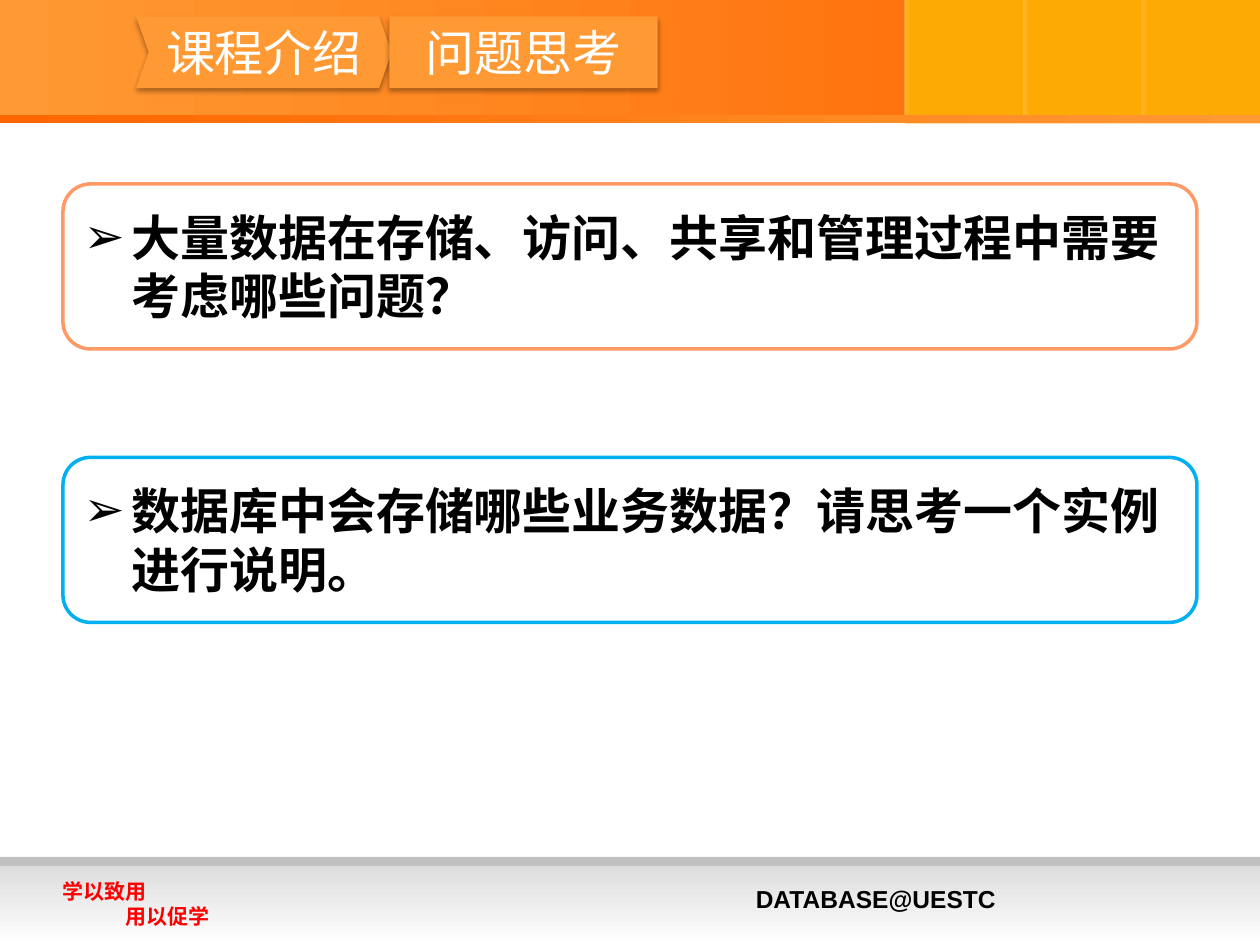
import pptx
import pptx.util
import pptx.dml.color
import pptx.enum.shapes
import pptx.enum.text
import pptx.oxml
import pptx.oxml.ns

Inches, Pt = pptx.util.Inches, pptx.util.Pt
RECTANGLE = pptx.enum.shapes.MSO_SHAPE.RECTANGLE
CHEVRON = pptx.enum.shapes.MSO_SHAPE.CHEVRON
ANCHOR = pptx.enum.text.MSO_ANCHOR
ALIGN = pptx.enum.text.PP_ALIGN
NAMESPACE = pptx.oxml.ns.nsdecls("a")

WIDTH, HEIGHT = 10, 7.5
HEADER_HEIGHT = 0.98
PANEL_LEFT, PANEL_WIDTH, PANEL_COUNT = 7.18, 0.94, 3
CJK_FONT = "Noto Sans CJK SC"

SECTION = ("课程介绍", (1.08, 0.13, 2.03, 0.57))
TITLE = ("问题思考", (3.09, 0.13, 2.13, 0.57))
QUESTIONS = [
    ("大量数据在存储、访问、共享和管理过程中需要考虑哪些问题？", "FF9966"),
    ("数据库中会存储哪些业务数据？请思考一个实例进行说明。", "00B0F0"),
]
QUESTION_TOP, QUESTION_PITCH = 1.46, 2.17
FOOTERS = [
    (["DATABASE@UESTC"], (5.9, 6.97, 3.45, 0.34), 14, "000000"),
    (["学以致用", "\t用以促学"], (0.4, 6.92, 2, 0.51), 12, "FF0000"),
]


def rgb(value):
    return pptx.dml.color.RGBColor.from_string(value)


def paint(shape, color):
    shape.fill.solid()
    shape.fill.fore_color.rgb = rgb(color)


def add_band(slide, area, colors, angle=0, opacities=()):
    """Add a borderless rectangle: one colour is solid, two are a gradient."""
    band = slide.shapes.add_shape(RECTANGLE, *map(Inches, area))
    band.shadow.inherit = False
    band.line.fill.background()
    if len(colors) == 1:
        paint(band, colors[0])
        return
    band.fill.gradient()
    band.fill.gradient_angle = angle
    for stop, color in zip(band.fill.gradient_stops, colors):
        stop.color.rgb = rgb(color)
    color_tags = band._element.spPr.iter(pptx.oxml.ns.qn("a:srgbClr"))
    for tag, opacity in zip(color_tags, opacities):
        tag.append(pptx.oxml.parse_xml(
            f'<a:alpha {NAMESPACE} val="{opacity * 1000}"/>'))


def shape_placeholder(slide, placeholder, area, geometry):
    """Place a placeholder, give it a preset outline and bring it to the front."""
    placeholder.left, placeholder.top, placeholder.width, placeholder.height = map(Inches, area)
    placeholder._element.spPr.append(pptx.oxml.parse_xml(
        f'<a:prstGeom {NAMESPACE} prst="{geometry}"><a:avLst/></a:prstGeom>'))
    slide.shapes._spTree.append(placeholder._element)


def style_text(paragraph, size, color, name, bold):
    for span in paragraph.runs:
        font = span.font
        font.size, font.bold, font.name = Pt(size), bold, name
        font.color.rgb = rgb(color)
        font._element.find(pptx.oxml.ns.qn("a:latin")).addnext(
            pptx.oxml.parse_xml(f'<a:ea {NAMESPACE} typeface="{CJK_FONT}"/>'))


def style_chevron(shape, text):
    shape.adjustments[0] = 0.178
    paint(shape, "FF9933")
    shape.line.fill.background()
    shape.shadow.inherit = False
    effects = shape._element.spPr.find(pptx.oxml.ns.qn("a:effectLst"))
    effects.append(pptx.oxml.parse_xml(
        f'<a:outerShdw {NAMESPACE} blurRad="{Pt(3.1)}" dist="{Pt(1.8)}" dir="5400000" '
        'rotWithShape="0"><a:srgbClr val="000000"><a:alpha val="35000"/></a:srgbClr>'
        '</a:outerShdw>'))
    frame = shape.text_frame
    frame.text = text
    frame.word_wrap = False
    frame.auto_size = pptx.enum.text.MSO_AUTO_SIZE.NONE
    frame.vertical_anchor = ANCHOR.MIDDLE
    frame.paragraphs[0].alignment = ALIGN.CENTER
    style_text(frame.paragraphs[0], 28, "FFFFFF", CJK_FONT, False)


def fill_question(box, text, color):
    paint(box, "FFFFFF")
    box.line.color.rgb = rgb(color)
    box.line.width = Pt(2)
    frame = box.text_frame
    frame.text = text
    frame.word_wrap = True
    frame.auto_size = pptx.enum.text.MSO_AUTO_SIZE.NONE
    frame.vertical_anchor = ANCHOR.TOP
    frame.margin_top = Inches(0.12)
    para = frame.paragraphs[0]
    properties = para._p.get_or_add_pPr()
    properties.set("marL", str(Inches(0.38)))
    properties.set("indent", str(-Inches(0.38)))
    properties.append(pptx.oxml.parse_xml(f'<a:buChar {NAMESPACE} char="➢"/>'))
    para.line_spacing = 1.0
    para.space_before = Pt(0)
    style_text(para, 28, "000000", "Arial", True)


def add_background(slide):
    add_band(slide, (0, 0, WIDTH, HEADER_HEIGHT), ["FF9933", "FF6600"])
    for index in range(PANEL_COUNT):
        left = PANEL_LEFT + index * PANEL_WIDTH
        add_band(slide, (left, 0, PANEL_WIDTH, HEADER_HEIGHT), ["FDAA03"])
        add_band(slide, (left, 0, 0.05, HEADER_HEIGHT), ["FFFFFF", "FDAA03"],
                 opacities=(18, 15))
    add_band(slide, (0, 0.91, WIDTH, 0.07), ["FF6600", "FF9933"])
    add_band(slide, (0, 6.8, WIDTH, 0.29), ["C0C0C0"])
    add_band(slide, (0, 6.87, WIDTH, HEIGHT - 6.87), ["DDDDDD", "FFFFFF"], angle=270)


def add_footer(slide, lines, area, size, color):
    frame = slide.shapes.add_textbox(*map(Inches, area)).text_frame
    frame.word_wrap = True
    frame.text = "\n".join(lines)
    for para in frame.paragraphs:
        style_text(para, size, color, "Arial", True)


def main():
    deck = pptx.Presentation()
    deck.slide_width, deck.slide_height = Inches(WIDTH), Inches(HEIGHT)
    two_content = deck.slide_layouts[3]
    page = deck.slides.add_slide(two_content)
    title, *bodies = page.placeholders

    add_background(page)
    for footer in FOOTERS:
        add_footer(page, *footer)

    section_text, section_area = SECTION
    section = page.shapes.add_shape(CHEVRON, *map(Inches, section_area))
    style_chevron(section, section_text)
    title_text, title_area = TITLE
    shape_placeholder(page, title, title_area, "chevron")
    title = page.shapes.title
    style_chevron(title, title_text)

    for index, (body, (text, color)) in enumerate(zip(bodies, QUESTIONS)):
        top = QUESTION_TOP + index * QUESTION_PITCH
        shape_placeholder(page, body, (0.5, top, 9, 1.31), "roundRect")
        fill_question(body, text, color)

    deck.save("out.pptx")


if __name__ == "__main__":
    main()
